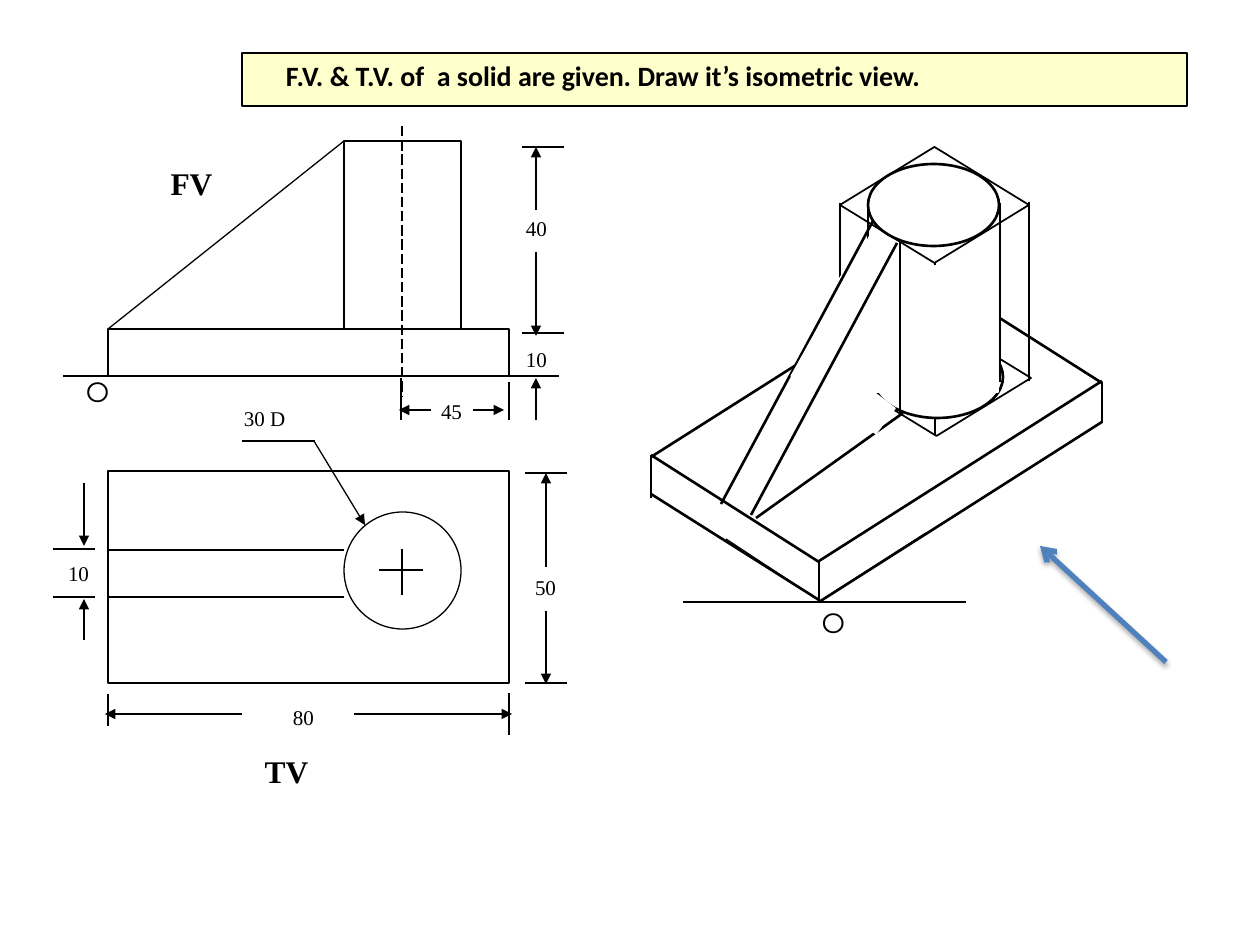
from lxml import etree
from pptx import Presentation
from pptx.dml.color import RGBColor
from pptx.enum.dml import MSO_LINE
from pptx.enum.shapes import MSO_CONNECTOR, MSO_SHAPE
from pptx.enum.text import MSO_ANCHOR, MSO_AUTO_SIZE, PP_ALIGN
from pptx.oxml.ns import qn
from pptx.util import Pt

RECTANGLE = MSO_SHAPE.RECTANGLE
DIAMOND = MSO_SHAPE.DIAMOND
ELLIPSE = MSO_SHAPE.OVAL
STRAIGHT = MSO_CONNECTOR.STRAIGHT
DASH = MSO_LINE.LONG_DASH
LEFT = PP_ALIGN.LEFT
CENTER = PP_ALIGN.CENTER
TOP = MSO_ANCHOR.TOP
FIXED = MSO_AUTO_SIZE.NONE
GROW = MSO_AUTO_SIZE.SHAPE_TO_FIT_TEXT

EMU_PER_PX = 914400 / 126
COLORS = {"ink": "000000", "paper": "FFFFFF", "banner": "FFFFCC", "pointer": "4F81BD"}
FONTS = {
    "title": {"name": "Calibri", "size": Pt(16), "bold": True},
    "dimension": {"name": "Times New Roman", "size": Pt(12), "bold": False},
    "view": {"name": "Times New Roman", "size": Pt(18), "bold": True},
    "origin": {"name": "Montserrat", "size": Pt(16), "bold": False},
}
THIN, MEDIUM, THICK = 0.75, 1, 1.5


def emu(px):
    return round(px * EMU_PER_PX)


def color(name):
    return RGBColor.from_string(COLORS[name])


class Drawing:
    def __init__(self, presentation):
        self.slide = presentation.slides.add_slide(presentation.slide_layouts[5])

    def outline(self, shape, fill, line, weight):
        shape.fill.solid()
        shape.fill.fore_color.rgb = color(fill)
        shape.line.color.rgb = color(line)
        shape.line.width = Pt(weight)

    def set_text(self, shape, text, style, align):
        paragraph = shape.text_frame.paragraphs[0]
        paragraph.alignment = align
        run = paragraph.add_run()
        run.text = text
        for key, value in FONTS[style].items():
            setattr(run.font, key, value)
        run.font.color.rgb = color("ink")

    def title(self, box, text, indent):
        shape = self.slide.shapes.title
        for key, value in zip(("left", "top", "width", "height"), box):
            setattr(shape, key, emu(value))
        self.outline(shape, "banner", "ink", THIN)
        frame = {"vertical_anchor": TOP, "auto_size": FIXED, "word_wrap": True,
                 "margin_left": emu(indent), "margin_top": emu(6)}
        for key, value in frame.items():
            setattr(shape.text_frame, key, value)
        self.set_text(shape, text, "title", LEFT)

    def shape(self, kind, box, weight=THIN, line="ink", rotation=0):
        shape = self.slide.shapes.add_shape(kind, *map(emu, box))
        shape.shadow.inherit = False
        shape.rotation = rotation
        self.outline(shape, "paper", line, weight)

    def mask(self, kind, box, rotation=0):
        self.shape(kind, box, THIN, "paper", rotation)

    def line(self, ends, weight=THIN, ink="ink", dash=None, head=None):
        connector = self.slide.shapes.add_connector(STRAIGHT, *map(emu, ends))
        connector.line.color.rgb = color(ink)
        connector.line.width = Pt(weight)
        if dash:
            connector.line.dash_style = dash
        properties = connector._element.spPr
        if head:
            etree.SubElement(properties.find(qn("a:ln")), qn("a:tailEnd"), type=head)
        return etree.SubElement(properties, qn("a:effectLst"))

    def lines(self, rows, weight=THIN, head=None):
        for ends in rows:
            self.line(ends, weight, head=head)

    def pointer(self, ends):
        effects = self.line(ends, 3, "pointer", head="arrow")
        shadow = etree.SubElement(effects, qn("a:outerShdw"), blurRad=str(Pt(3.1)),
                                  dist=str(Pt(1.8)), dir="5400000", rotWithShape="0")
        tint = etree.SubElement(shadow, qn("a:srgbClr"), val=COLORS["ink"])
        etree.SubElement(tint, qn("a:alpha"), val="35000")

    def label(self, text, box, style="dimension"):
        shape = self.slide.shapes.add_textbox(*map(emu, box))
        shape.text_frame.word_wrap = False
        shape.text_frame.auto_size = GROW
        self.set_text(shape, text, style, CENTER)


def draw_isometric(drawing):
    drawing.lines([(820, 601, 926, 533), (820, 601, 726, 539)])
    drawing.lines([
        (819, 602, 819, 561), (819, 602, 1102, 422), (819, 561, 1102, 381),
        (819, 600, 651, 494), (819, 562, 651, 455), (1102, 383, 935, 277),
        (1102, 423, 1102, 382), (651, 457, 935, 277), (651, 455, 651, 498),
    ], THICK)
    drawing.shape(DIAMOND, (842, 320, 189, 116), MEDIUM)
    drawing.lines([(840, 382, 840, 203), (935, 435, 935, 256), (1029, 381, 1029, 202)])
    drawing.shape(DIAMOND, (840, 147, 189, 116), MEDIUM)
    for left, top in ((868, 164), (872, 336)):
        drawing.shape(ELLIPSE, (left, top, 131, 82), THICK)
    drawing.line((868, 203, 868, 382))
    drawing.line((1000, 203, 1000, 382), THICK)
    drawing.mask(RECTANGLE, (872, 266, 126, 126))
    drawing.lines([(756, 518, 903, 413), (900, 241, 900, 413)], THICK)
    drawing.mask(RECTANGLE, (820, 383, 73, 32), 37.2)
    drawing.mask(ELLIPSE, (829, 266, 53, 126))
    drawing.lines([(897, 243, 751, 515), (873, 221, 721, 504)], THICK)
    drawing.mask(RECTANGLE, (830, 227, 25, 166), 29.3)
    drawing.line((683, 602, 966, 602))
    drawing.label("O", (809, 599, 49, 47), "origin")
    drawing.pointer((1166, 662, 1040, 546))


def draw_views(drawing):
    for box in ((344, 141, 117, 188), (108, 329, 401, 47), (108, 471, 401, 212)):
        drawing.shape(RECTANGLE, box)
    drawing.shape(ELLIPSE, (344, 512, 117, 117))
    drawing.line((402, 126, 402, 397), dash=DASH)
    drawing.lines([
        (344, 141, 108, 329), (108, 550, 344, 550), (108, 597, 344, 597),
        (402, 549, 402, 595), (379, 570, 423, 570), (63, 376, 559, 376),
    ])
    drawing.label("FV", (158, 158, 67, 50), "view")
    drawing.label("TV", (252, 746, 69, 50), "view")
    drawing.label("O", (73, 368, 49, 47), "origin")


def draw_dimensions(drawing):
    for left, top in ((522, 147), (522, 333), (525, 473), (525, 683), (53, 549), (53, 597)):
        drawing.line((left, top, left + 42, top))
    drawing.lines([
        (108, 694, 108, 726), (509, 693, 509, 735), (401, 420, 401, 378),
        (509, 382, 509, 420), (242, 441, 315, 441),
    ])
    drawing.lines([
        (314, 441, 365, 525), (536, 252, 536, 336), (536, 210, 536, 147),
        (536, 420, 536, 378), (84, 483, 84, 546), (84, 640, 84, 599),
        (546, 567, 546, 473), (546, 611, 546, 684), (354, 714, 512, 714),
        (242, 714, 105, 714), (473, 410, 504, 410), (431, 410, 399, 410),
    ], head="triangle")
    for text, left, top in (("40", 513, 209), ("10", 513, 340), ("50", 522, 568),
                            ("80", 280, 698), ("10", 55, 554), ("45", 428, 392)):
        drawing.label(text, (left, top, 47, 38))
    drawing.label("30 D", (231, 399, 67, 38))


def main():
    presentation = Presentation()
    presentation.slide_width = emu(1260)
    presentation.slide_height = emu(945)
    drawing = Drawing(presentation)
    drawing.title((242, 53, 945, 53),
                  "F.V. & T.V. of  a solid are given. Draw it’s isometric view.", 44)
    draw_isometric(drawing)
    draw_views(drawing)
    draw_dimensions(drawing)
    presentation.save("out.pptx")


if __name__ == "__main__":
    main()
